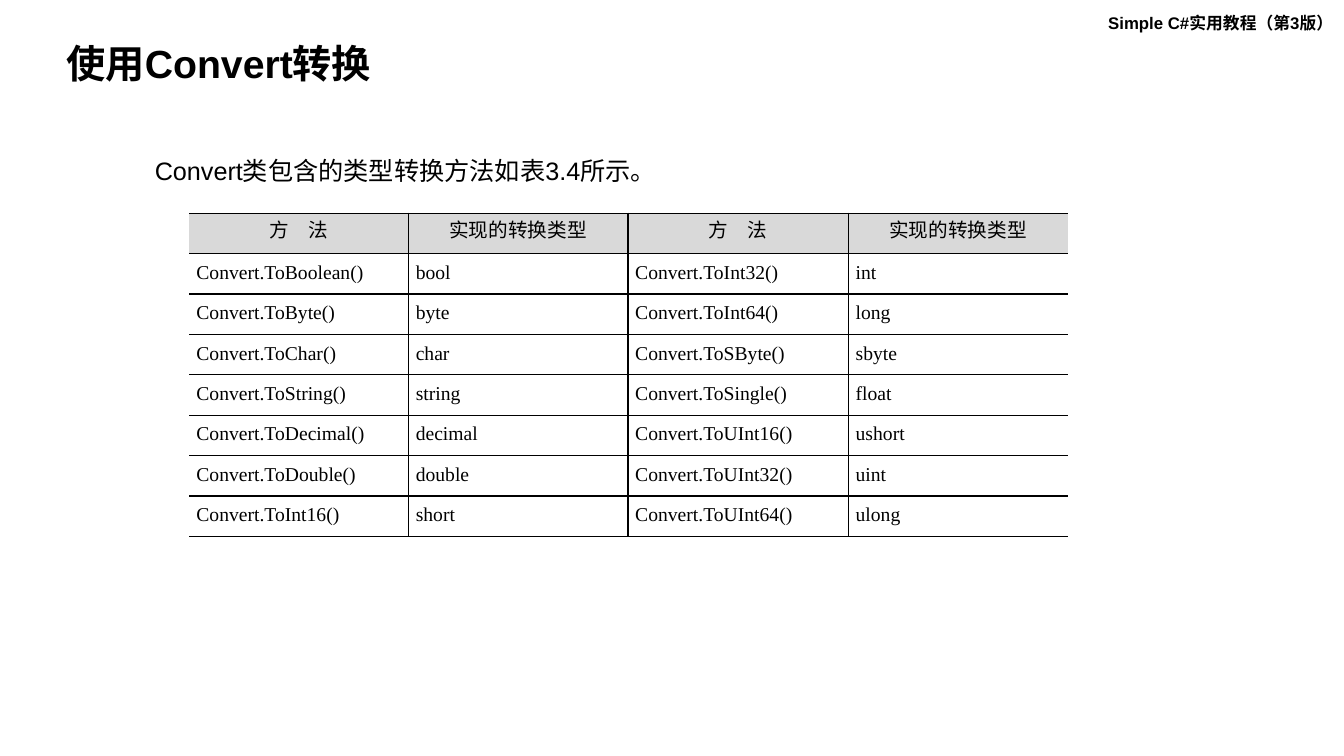
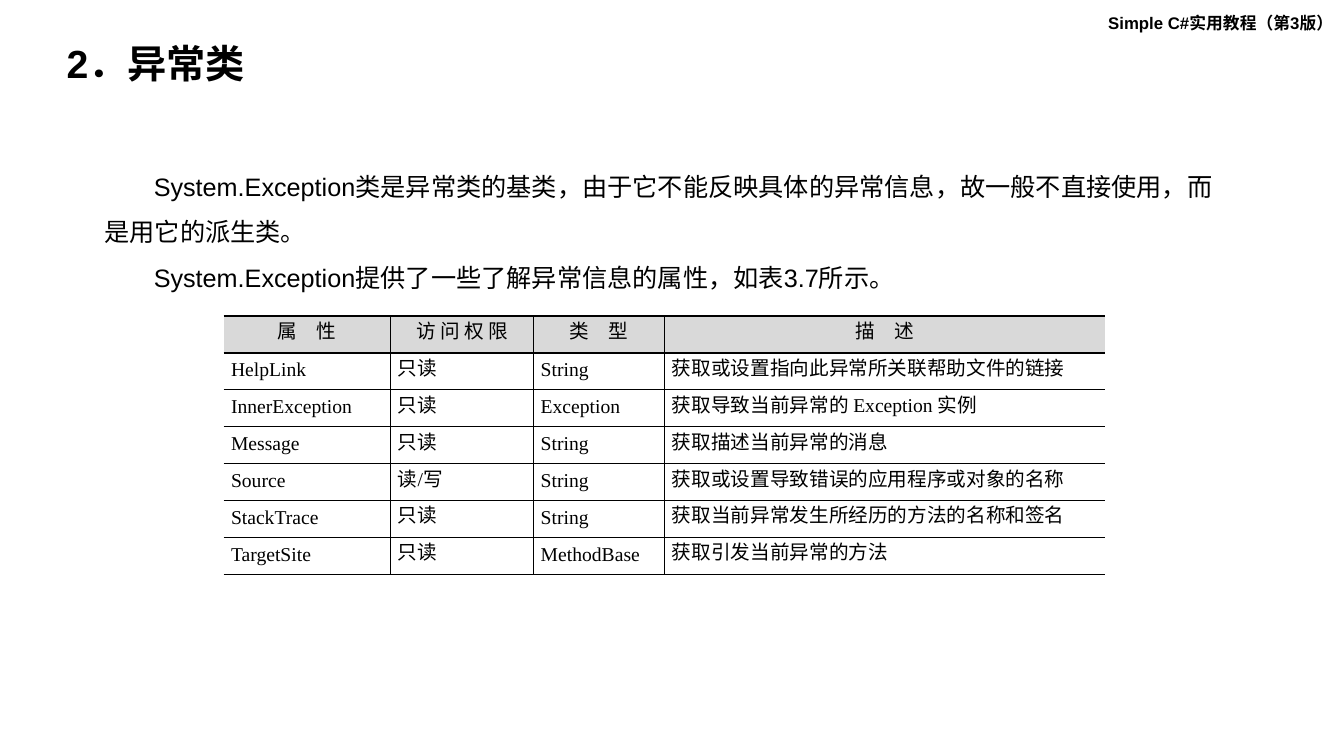
from lxml.etree import SubElement
from pptx import Presentation
from pptx.dml.color import RGBColor
from pptx.enum.text import MSO_ANCHOR as Anchor, MSO_AUTO_SIZE as AutoSize, PP_ALIGN as Align
from pptx.oxml.ns import qn
from pptx.util import Emu, Pt

SCALE = 9525
COLORS = {"ink": "000000", "header": "D9D9D9"}


def px(length):
    """Turn whole pixels into EMU."""
    return Emu(length * SCALE)


def rgb(name):
    """Look up a named colour."""
    return RGBColor.from_string(COLORS[name])


class Deck:
    """Hold the shared style and the current slide."""

    BOOK = "Simple C#实用教程（第3版）"
    HEADING_FONT = "Arial"
    TABLE_FONT = "Times New Roman"

    def __init__(self):
        """Start an empty widescreen presentation."""
        self.prs = Presentation()
        self.prs.slide_width, self.prs.slide_height = px(1280), px(720)
        self.slide = None

    def new_slide(self, title):
        """Add a slide with the book name and a title."""
        self.slide = self.prs.slides.add_slide(self.prs.slide_layouts[6])
        self.text(1046, 7, 234, 29, [self.BOOK], 12, bold=True)
        self.text(54, 38, 609, 50, [title], 28, bold=True, spacing=0.9,
                  anchor=Anchor.MIDDLE, grow=False)

    def style_runs(self, paragraph, font, size, bold=False):
        """Format every run of a paragraph."""
        for run in paragraph.runs:
            run.font.name, run.font.size, run.font.bold = font, Pt(size), bold
            run.font.color.rgb = rgb("ink")

    def text(self, left, top, width, height, lines, size, bold=False, spacing=1.0,
             indent=0, anchor=Anchor.TOP, wrap=True, grow=True):
        """Add a text box with one paragraph per line."""
        box = self.slide.shapes.add_textbox(px(left), px(top), px(width), px(height))
        frame = box.text_frame
        frame.text = "\n".join(lines)
        frame.word_wrap = wrap
        frame.vertical_anchor = anchor
        frame.auto_size = AutoSize.SHAPE_TO_FIT_TEXT if grow else AutoSize.NONE
        for paragraph in frame.paragraphs:
            paragraph.line_spacing = spacing
            if indent:
                paragraph._p.get_or_add_pPr().set("indent", str(px(indent)))
            self.style_runs(paragraph, self.HEADING_FONT, size, bold)

    def borders(self, cell, left, right):
        """Rule a cell, leaving out sides of zero width."""
        properties = cell._tc.get_or_add_tcPr()
        for side, width in (("lnL", left), ("lnR", right), ("lnT", 1), ("lnB", 1)):
            line = SubElement(properties, qn(f"a:{side}"), w=str(Pt(width)))
            if width:
                fill = SubElement(line, qn("a:solidFill"))
                SubElement(fill, qn("a:srgbClr"), val=COLORS["ink"])
            else:
                SubElement(line, qn("a:noFill"))

    def table(self, left, top, height, widths, rules, rows):
        """Add a table with a grey header and open sides."""
        grid = self.slide.shapes.add_table(
            len(rows), len(widths), px(left), px(top), px(sum(widths)), px(height)).table
        grid.first_row = grid.horz_banding = False
        for column, width in zip(grid.columns, widths):
            column.width = px(width)
        edges = [0, *rules, 0]
        for r, values in enumerate(rows):
            grid.rows[r].height = Emu(px(height) // len(rows))
            for c, value in enumerate(values):
                self.cell(grid.cell(r, c), value, r == 0, edges[c], edges[c + 1])

    def cell(self, cell, value, is_header, left, right):
        """Fill and format one table cell."""
        cell.margin_left = cell.margin_right = px(7)
        cell.margin_top = cell.margin_bottom = 0
        cell.vertical_anchor = Anchor.MIDDLE
        self.borders(cell, left, right)
        if is_header:
            cell.fill.solid()
            cell.fill.fore_color.rgb = rgb("header")
        else:
            cell.fill.background()
        paragraph = cell.text_frame.paragraphs[0]
        paragraph.text = value
        paragraph.alignment = Align.CENTER if is_header else Align.JUSTIFY
        paragraph.line_spacing = Pt(14)
        self.style_runs(paragraph, self.TABLE_FONT, 14)


def convert_slide(deck):
    """Build the slide on the Convert class."""
    deck.new_slide("使用Convert转换")
    deck.text(138, 143, 501, 38, ["Convert类包含的类型转换方法如表3.4所示。"], 18, wrap=False)
    conversions = [
        ("Boolean", "bool", "Int32", "int"),
        ("Byte", "byte", "Int64", "long"),
        ("Char", "char", "SByte", "sbyte"),
        ("String", "string", "Single", "float"),
        ("Decimal", "decimal", "UInt16", "ushort"),
        ("Double", "double", "UInt32", "uint"),
        ("Int16", "short", "UInt64", "ulong"),
    ]
    header = ("方　法", "实现的转换类型") * 2
    methods = [(f"Convert.To{a}()", a_type, f"Convert.To{b}()", b_type)
               for a, a_type, b, b_type in conversions]
    deck.table(180, 203, 308, [209, 209, 210, 209], [1, 1.5, 1], [header, *methods])


def exception_slide(deck):
    """Build the slide on the exception class."""
    deck.new_slide("2．异常类")
    deck.text(90, 144, 1085, 135, [
        "System.Exception类是异常类的基类，由于它不能反映具体的异常信息，故一般不直接使用，而是用它的派生类。",
        "System.Exception提供了一些了解异常信息的属性，如表3.7所示。",
    ], 18, spacing=1.5, indent=47)
    deck.table(213, 301, 246, [159, 136, 125, 419], [1, 1, 1], [
        ("属　性", "访 问 权 限", "类　型", "描　述"),
        ("HelpLink", "只读", "String", "获取或设置指向此异常所关联帮助文件的链接"),
        ("InnerException", "只读", "Exception", "获取导致当前异常的 Exception 实例"),
        ("Message", "只读", "String", "获取描述当前异常的消息"),
        ("Source", "读/写", "String", "获取或设置导致错误的应用程序或对象的名称"),
        ("StackTrace", "只读", "String", "获取当前异常发生所经历的方法的名称和签名"),
        ("TargetSite", "只读", "MethodBase", "获取引发当前异常的方法"),
    ])


def main():
    """Build and save the presentation."""
    deck = Deck()
    convert_slide(deck)
    exception_slide(deck)
    deck.prs.save("out.pptx")


if __name__ == "__main__":
    main()
